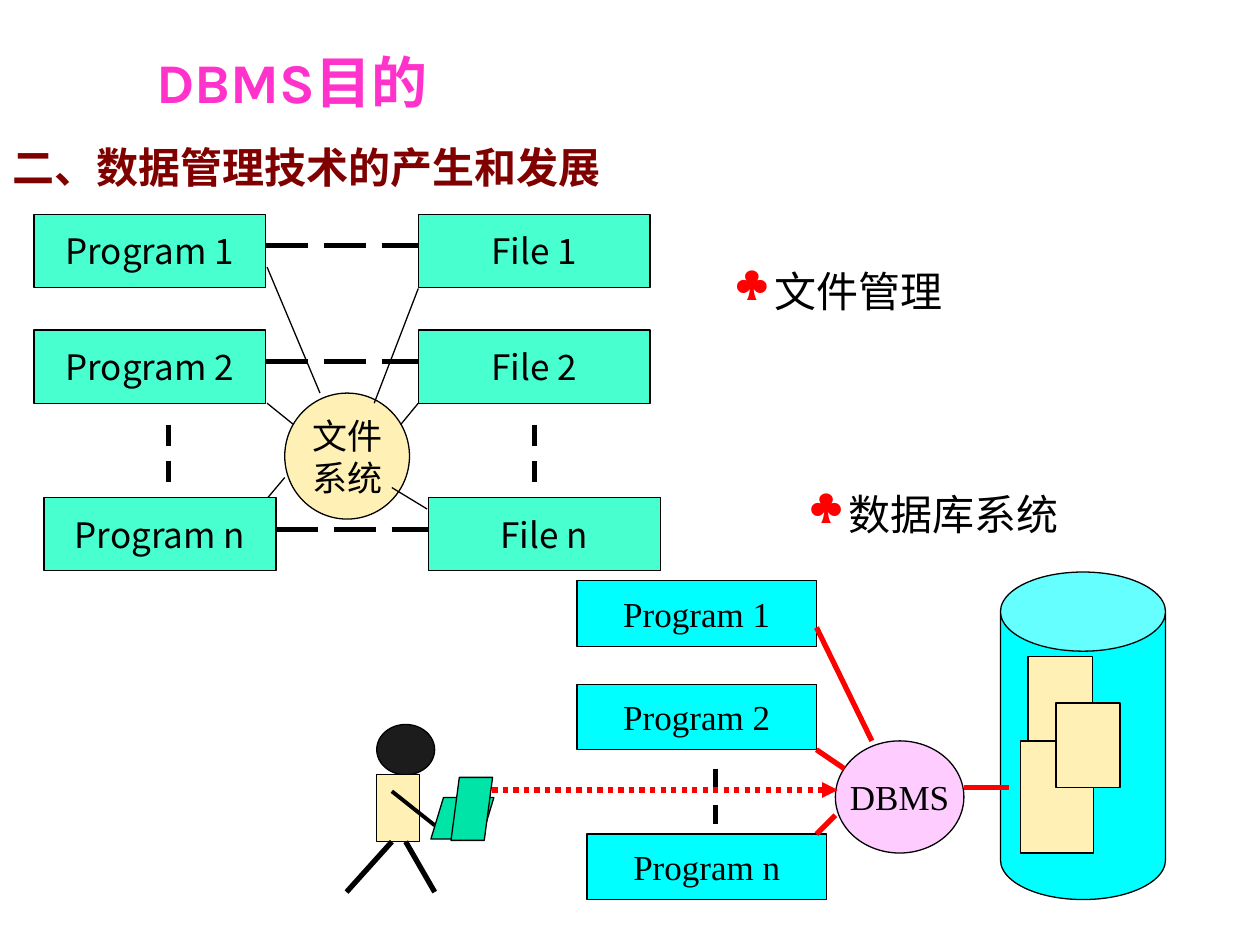
import pptx
import pptx.dml.color
import pptx.enum.dml
import pptx.enum.shapes
import pptx.enum.text
import pptx.oxml
import pptx.oxml.ns
import pptx.util
from pptx.util import Inches

SHAPE = pptx.enum.shapes.MSO_SHAPE
DASH = pptx.enum.dml.MSO_LINE
ALIGN = pptx.enum.text.PP_ALIGN
ANCHOR = pptx.enum.text.MSO_ANCHOR

SANS, SERIF, HEADING = "Noto Sans CJK JP", "Times New Roman", "Karla"
BLACK, RED, CREAM = "000000", "FF0000", "FFF1B5"
MINT, CYAN, PINK, GREEN = "47FFCF", "00FFFF", "FFCCFF", "00E4A8"


def rgb(color):
    return pptx.dml.color.RGBColor.from_string(color)


def add_child(parent, tag, **attributes):
    child = pptx.oxml.ns.qn(tag)
    element = parent.makeelement(child, attributes)
    parent.append(element)
    return element


def add_run(paragraph, text, size, font, color=BLACK, bold=False):
    run = paragraph.add_run()
    run.text = text
    run.font.size = pptx.util.Pt(size)
    run.font.name = font
    run.font.bold = bold
    run.font.color.rgb = rgb(color)
    if font == SANS:
        add_child(run.font._element, "a:ea", typeface=font)


def add_node(slide, kind, left, top, width, height, fill, lines=(), font=SERIF):
    """Add a filled, thinly outlined shape with one centred paragraph per line."""
    node = slide.shapes.add_shape(
        kind, Inches(left), Inches(top), Inches(width), Inches(height))
    node.shadow.inherit = False
    node.fill.solid()
    node.fill.fore_color.rgb = rgb(fill)
    node.line.color.rgb = rgb(BLACK)
    node.line.width = pptx.util.Pt(0.75)
    frame = node.text_frame
    frame.word_wrap = False
    frame.vertical_anchor = ANCHOR.MIDDLE
    for index, text in enumerate(lines):
        paragraph = frame.add_paragraph() if index else frame.paragraphs[0]
        paragraph.alignment = ALIGN.CENTER
        add_run(paragraph, text, 20, font)
    return node


def add_line(slide, x1, y1, x2, y2, color=BLACK, width=3, dash=None, arrow=False):
    line = slide.shapes.add_connector(
        pptx.enum.shapes.MSO_CONNECTOR.STRAIGHT,
        Inches(x1), Inches(y1), Inches(x2), Inches(y2))
    line.line.color.rgb = rgb(color)
    line.line.width = pptx.util.Pt(width)
    if dash:
        line.line.dash_style = dash
    if arrow:
        add_child(line.line._get_or_add_ln(), "a:tailEnd", type="triangle")
    add_child(line._element.spPr, "a:effectLst")


def set_indent(paragraph, margin, hanging):
    properties = paragraph._p.get_or_add_pPr()
    properties.set("marL", str(Inches(margin)))
    properties.set("indent", str(-Inches(hanging)))
    return properties


def place_placeholder(placeholder, left, top, width, height, anchor):
    placeholder.left, placeholder.top = Inches(left), Inches(top)
    placeholder.width, placeholder.height = Inches(width), Inches(height)
    frame = placeholder.text_frame
    frame.auto_size = pptx.enum.text.MSO_AUTO_SIZE.NONE
    frame.vertical_anchor = anchor
    paragraph = frame.paragraphs[0]
    paragraph.alignment = ALIGN.LEFT
    return paragraph


def add_headings(slide):
    title = place_placeholder(
        slide.shapes.title, 1.14, 0.21, 6.82, 0.75, ANCHOR.BOTTOM)
    add_run(title, "DBMS目的", 32, HEADING, "FF33CC", bold=True)
    section = place_placeholder(
        slide.placeholders[1], 0, 1.07, 5.92, 0.78, ANCHOR.TOP)
    section.space_before = pptx.util.Pt(4.8)
    add_child(set_indent(section, 0.38, 0.38), "a:buNone")
    add_run(section, "二、数据管理技术的产生和发展", 24, HEADING, "800000", bold=True)


def add_club_bullet(slide, left, top, text):
    box = slide.shapes.add_textbox(
        Inches(left), Inches(top), Inches(4.17), Inches(0.58))
    box.text_frame.word_wrap = True
    paragraph = box.text_frame.paragraphs[0]
    paragraph.level = 1
    paragraph.space_before = pptx.util.Pt(7.2)
    properties = set_indent(paragraph, 0.81, 0.31)
    add_child(add_child(properties, "a:buClr"), "a:srgbClr", val=RED)
    add_child(properties, "a:buChar", char="♣")
    add_run(paragraph, text, 24, SERIF)


def add_file_management(slide):
    add_node(slide, SHAPE.OVAL, 2.26, 3.12, 0.99, 1, CREAM, ["文件", "系统"], SANS)
    links = [
        (2.12, 2.12, 2.54, 3.12), (2.12, 3.2, 2.33, 3.37),
        (2.05, 4.04, 2.26, 3.79), (2.97, 3.2, 3.32, 2.29),
        (3.18, 3.37, 3.32, 3.2), (3.11, 3.87, 3.39, 4.04),
    ]
    for link in links:
        add_line(slide, *link, width=0.75)
    box_width, file_offset = 1.84, 3.05
    for label, left, top in [("1", 0.27, 1.7), ("2", 0.27, 2.62), ("n", 0.35, 3.95)]:
        file_left = left + file_offset
        for name, box_left in [("File", file_left), ("Program", left)]:
            add_node(slide, SHAPE.RECTANGLE, box_left, top, box_width, 0.58,
                     MINT, [f"{name} {label}"], SANS)
        add_line(slide, left + box_width, top + 0.25, file_left, top + 0.25,
                 dash=DASH.LONG_DASH)
    for x in (1.34, 4.24):
        add_line(slide, x, 3.37, x, 3.87, dash=DASH.DASH)


def add_database_system(slide):
    for label, left, top in [("1", 4.58, 4.61), ("2", 4.58, 5.43), ("n", 4.66, 6.62)]:
        add_node(slide, SHAPE.RECTANGLE, left, top, 1.9, 0.52, CYAN,
                 [f"Program {label}"])
    add_line(slide, 5.68, 6.1, 5.68, 6.54, dash=DASH.DASH)
    add_node(slide, SHAPE.OVAL, 6.63, 5.88, 1.02, 0.89, PINK, ["DBMS"])
    for link in [(6.48, 4.98, 6.92, 5.88), (6.48, 5.95, 6.7, 6.1),
                 (6.48, 6.62, 6.63, 6.47)]:
        add_line(slide, *link, color=RED)
    database = add_node(slide, SHAPE.CAN, 7.94, 4.54, 1.31, 2.6, CYAN)
    database.adjustments[0] = 0.48
    for table in [(8.16, 5.21, 0.51, 0.67), (8.1, 5.88, 0.58, 0.89),
                  (8.38, 5.58, 0.51, 0.67)]:
        add_node(slide, SHAPE.RECTANGLE, *table, CREAM)
    add_line(slide, 7.65, 6.25, 8.01, 6.25, color=RED)


def add_user(slide):
    add_line(slide, 3.74, 6.27, 6.65, 6.27, color=RED,
             dash=DASH.ROUND_DOT, arrow=True)
    add_node(slide, SHAPE.OVAL, 2.99, 5.75, 0.46, 0.4, "1C1C1C")
    add_node(slide, SHAPE.RECTANGLE, 2.99, 6.15, 0.34, 0.53, CREAM)
    add_line(slide, 3.11, 6.68, 2.75, 7.08)
    add_line(slide, 3.22, 6.68, 3.45, 7.08)
    add_line(slide, 3.11, 6.28, 3.45, 6.55, width=2.25)
    for terminal_part in [(3.42, 6.33, 0.5, 0.33), (3.58, 6.17, 0.33, 0.5)]:
        add_node(slide, SHAPE.FLOWCHART_DATA, *terminal_part, GREEN)


def main():
    deck = pptx.Presentation()
    deck.slide_width, deck.slide_height = Inches(10), Inches(7.5)
    slide = deck.slides.add_slide(deck.slide_layouts[1])
    add_headings(slide)
    add_database_system(slide)
    add_file_management(slide)
    add_user(slide)
    add_club_bullet(slide, 5.24, 2.06, "文件管理")
    add_club_bullet(slide, 5.83, 3.83, "数据库系统")
    deck.save("out.pptx")


if __name__ == "__main__":
    main()
